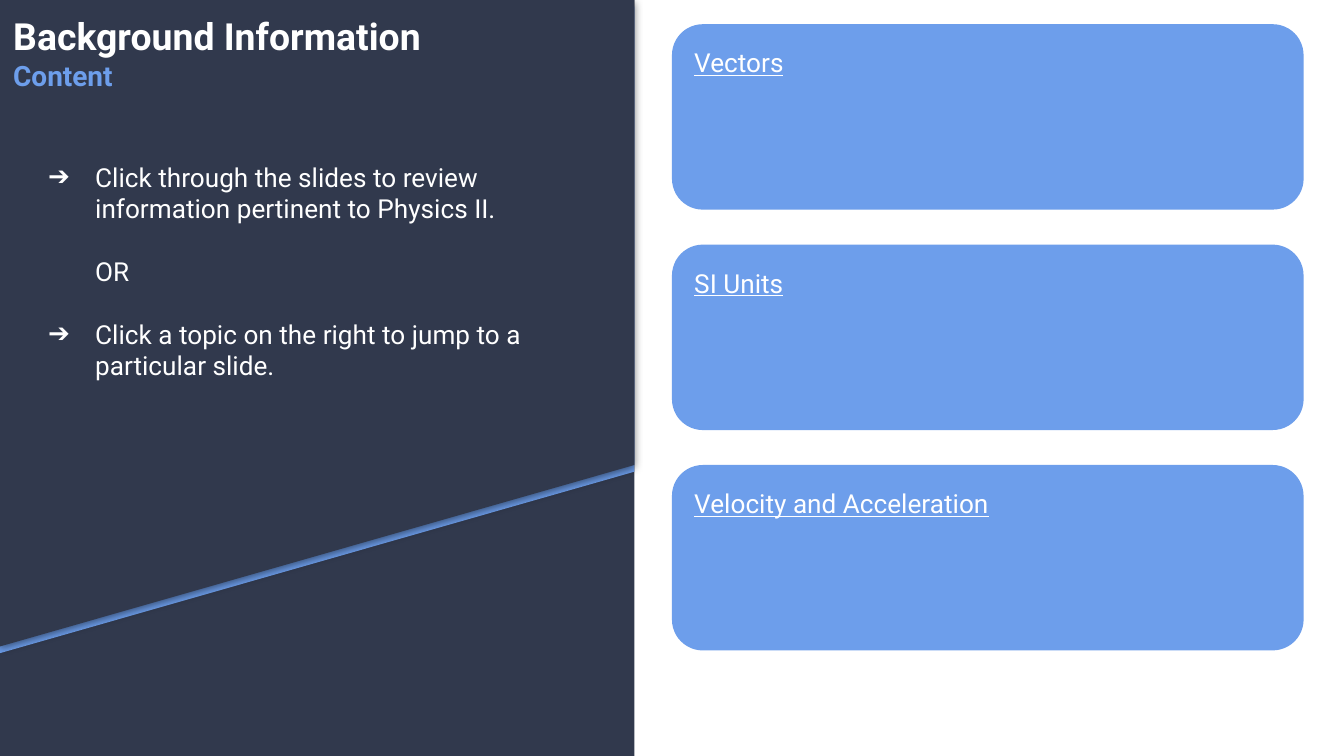
from lxml import etree
from pptx import Presentation
from pptx import util as u
from pptx.dml.color import RGBColor
from pptx.enum import shapes, text
from pptx.oxml.ns import qn

HEADING = [("Background Information", "title", "white"), ("Content", "subtitle", "blue")]
STEPS = [
    ("Click through the slides to review information pertinent to Physics II.", True, False),
    ("OR", False, True),
    ("Click a topic on the right to jump to a", True, True),
    ("particular slide.", False, False),
]
TOPICS = ["Vectors", "SI Units", "Velocity and Acceleration"]

THEME = {
    "font": "Roboto",
    "colors": {"navy": "31394D", "blue": "6D9EEB", "white": "FFFFFF"},
    "sizes": {"title": 20, "subtitle": 15, "body": 14},
}
WIDTH = 10
HEIGHT = WIDTH * 9 / 16
PANEL_WIDTH = 4.72
SLOPE_LEFT, SLOPE_RIGHT, STRIPE = 4.81, 3.46, 0.05
CARD = {"left": 5, "top": 0.18, "width": 4.7, "height": 1.38, "pitch": 1.64}
BLANK_LINE = 16.8


def color(name):
    return RGBColor.from_string(THEME["colors"][name])


def paint(shape, name):
    shape.fill.solid()
    shape.fill.fore_color.rgb = color(name)
    shape.line.fill.background()
    shape.shadow.inherit = False
    return shape


def add_panel(page, top, name):
    corners = [(PANEL_WIDTH, top), (PANEL_WIDTH, SLOPE_RIGHT + top), (0, SLOPE_LEFT + top)]
    outline = page.shapes.build_freeform(0, u.Inches(top), scale=1.0)
    outline.add_line_segments([(u.Inches(x), u.Inches(y)) for x, y in corners])
    return paint(outline.convert_to_shape(), name)


def add_shadow(shape):
    effects = shape._element.spPr.find(qn("a:effectLst"))
    shadow = etree.SubElement(effects, qn("a:outerShdw"), blurRad=str(u.Pt(4.5)),
                              dist=str(u.Pt(1.5)), dir="5400000",
                              algn="bl", rotWithShape="0")
    shade = etree.SubElement(shadow, qn("a:srgbClr"), val="000000")
    etree.SubElement(shade, qn("a:alpha"), val="50000")


def prepare(box):
    frame = box.text_frame
    frame.word_wrap = True
    frame.vertical_anchor = text.MSO_ANCHOR.TOP
    frame.margin_left = frame.margin_right = u.Inches(0.1)
    frame.margin_top = frame.margin_bottom = u.Inches(0.1)
    return frame


def write(frame, index, words, size="body", name="white"):
    para = frame.add_paragraph() if index else frame.paragraphs[0]
    para.text = words
    para.alignment = text.PP_ALIGN.LEFT
    para.font.name = THEME["font"]
    para.font.size = u.Pt(THEME["sizes"][size])
    para.font.color.rgb = color(name)
    return para


def indent(para, bulleted):
    props = para._p.get_or_add_pPr()
    props.set("marL", str(u.Inches(0.5)))
    props.set("indent", str(u.Inches(-0.35 if bulleted else 0)))
    if bulleted:
        tint = etree.Element(qn("a:buClr"))
        etree.SubElement(tint, qn("a:srgbClr"), val=THEME["colors"]["white"])
        face = etree.Element(qn("a:buFont"), typeface=THEME["font"])
        mark = etree.Element(qn("a:buChar"), char="➔")
        start = len(props.findall(qn("a:spcBef")))
        for offset, part in enumerate((tint, face, mark)):
            props.insert(start + offset, part)


def add_text(page, left, top, width, height):
    return prepare(page.shapes.add_textbox(*map(u.Inches, (left, top, width, height))))


deck = Presentation()
deck.slide_width, deck.slide_height = u.Inches(WIDTH), u.Inches(HEIGHT)
page = deck.slides.add_slide(deck.slide_layouts[6])

paint(page.shapes.add_shape(shapes.MSO_SHAPE.RECTANGLE, 0, 0,
                            u.Inches(PANEL_WIDTH), u.Inches(HEIGHT)), "navy")
add_panel(page, STRIPE, "blue")
add_shadow(add_panel(page, 0, "navy"))

heading = add_text(page, 0, 0, 4.7, 0.72)
for index, (words, size, name) in enumerate(HEADING):
    write(heading, index, words, size, name).font.bold = True

for index, topic in enumerate(TOPICS):
    top = CARD["top"] + index * CARD["pitch"]
    card = page.shapes.add_shape(
        shapes.MSO_SHAPE.ROUNDED_RECTANGLE,
        *map(u.Inches, (CARD["left"], top, CARD["width"], CARD["height"])))
    write(prepare(paint(card, "blue")), 0, topic).font.underline = True

steps = add_text(page, 0.11, 1.1, 4.29, 2.15)
for index, (words, bulleted, spaced) in enumerate(STEPS):
    para = write(steps, index, words)
    if spaced:
        para.space_before = u.Pt(BLANK_LINE)
    indent(para, bulleted)

deck.save("out.pptx")
